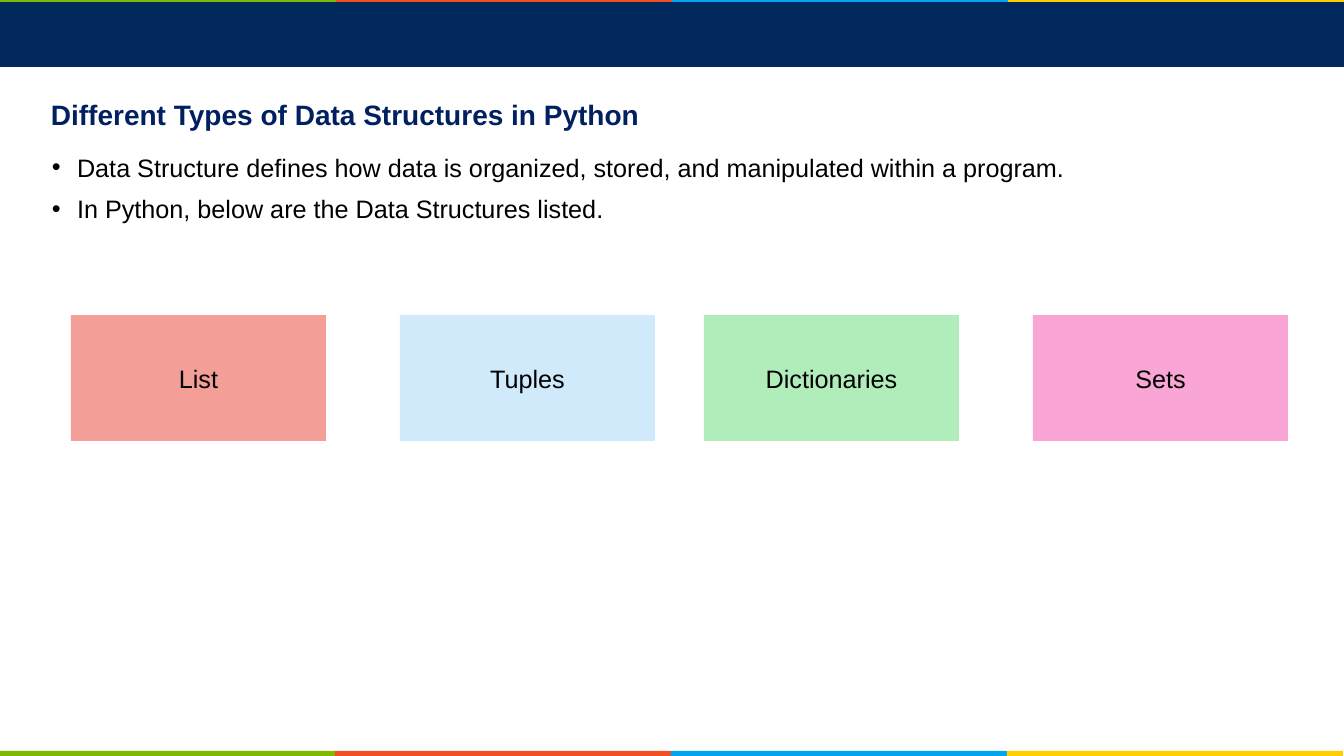
"""Build the slide on data structures in Python."""
from lxml.etree import SubElement
from pptx import Presentation
from pptx.dml.color import RGBColor
from pptx.enum.shapes import MSO_SHAPE
from pptx.enum.text import MSO_ANCHOR, PP_ALIGN
from pptx.oxml.ns import qn
from pptx.util import Pt

PX = 914400 / 100.8
NAVY = RGBColor(0x01, 0x29, 0x5E)
TITLE = RGBColor(0x00, 0x20, 0x60)
BLACK = RGBColor(0x00, 0x00, 0x00)
GREEN = RGBColor(0x7F, 0xBA, 0x00)
ORANGE = RGBColor(0xF2, 0x50, 0x22)
BLUE = RGBColor(0x00, 0xA4, 0xEF)
YELLOW = RGBColor(0xFF, 0xCF, 0x01)
SALMON = RGBColor(0xF3, 0x9E, 0x97)
SKY = RGBColor(0xD0, 0xEA, 0xFC)
MINT = RGBColor(0xB1, 0xED, 0xBB)
PINK = RGBColor(0xF9, 0xA5, 0xD5)

prs = Presentation()
prs.slide_width, prs.slide_height = round(1344 * PX), round(756 * PX)
s = prs.slides.add_slide(prs.slide_layouts[6])


def add_rect(x, y, w, h, color):
    sp = s.shapes.add_shape(MSO_SHAPE.RECTANGLE, *(round(v * PX) for v in (x, y, w, h)))
    sp.shadow.inherit = False
    sp.fill.solid()
    sp.fill.fore_color.rgb = color
    sp.line.fill.background()
    return sp


def add_text(text, box=None, sp=None, size=18, color=BLACK, bold=False,
             align=PP_ALIGN.LEFT, anchor=MSO_ANCHOR.TOP, bullet=False):
    sp = sp or s.shapes.add_textbox(*(round(v * PX) for v in box))
    tf = sp.text_frame
    tf.word_wrap = True
    tf.vertical_anchor = anchor
    tf.text = text
    for p in tf.paragraphs:
        p.alignment = align
        if bullet:
            p.space_after = Pt(8)
            pPr = p._p.get_or_add_pPr()
            pPr.set("marL", "228600")
            pPr.set("indent", "-228600")
            SubElement(pPr, qn("a:buFont")).set("typeface", "Arial")
            SubElement(pPr, qn("a:buChar")).set("char", "•")
        for r in p.runs:
            r.font.name = "Arial"
            r.font.size = Pt(size)
            r.font.bold = bold
            r.font.color.rgb = color


add_rect(0, -2, 1344, 69, NAVY)
for left, top in ((0, -3), (-1, 751)):
    for i, color in enumerate((GREEN, ORANGE, BLUE, YELLOW)):
        add_rect(left + 336 * i, top, 336, 5, color)

add_text("Different Types of Data Structures in Python", box=(41, 93, 639, 43),
         size=20, color=TITLE, bold=True)
add_text("Data Structure defines how data is organized, stored, and manipulated within a program.\n"
         "In Python, below are the Data Structures listed.",
         box=(42, 147, 1168, 83), bullet=True)

for name, x, color in (("List", 71, SALMON), ("Tuples", 400, SKY),
                       ("Dictionaries", 704, MINT), ("Sets", 1033, PINK)):
    sp = add_rect(x, 315, 255, 126, color)
    add_text(name, sp=sp, align=PP_ALIGN.CENTER, anchor=MSO_ANCHOR.MIDDLE)

prs.save("out.pptx")
